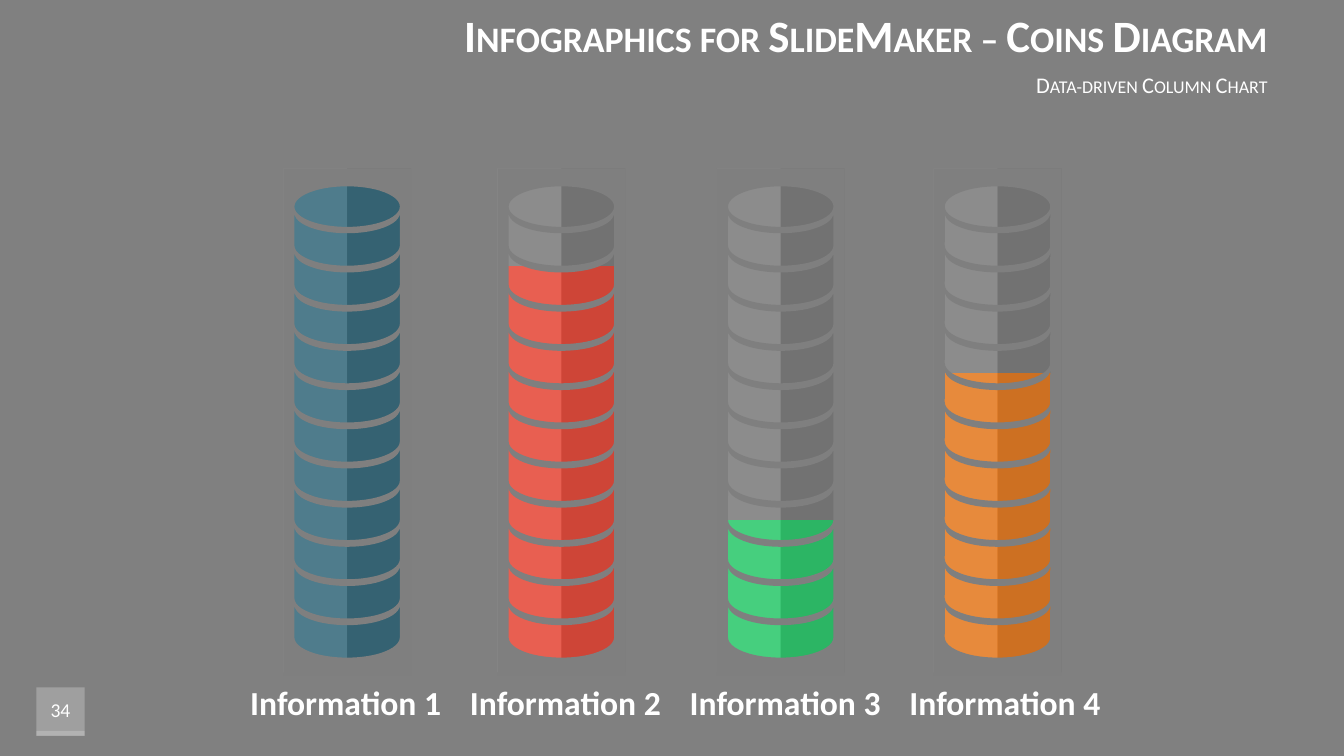
from collections import namedtuple
from dataclasses import dataclass

from lxml.etree import SubElement
from pptx import Presentation
from pptx.chart.data import CategoryChartData
from pptx.dml.color import RGBColor
from pptx.enum.chart import XL_CHART_TYPE as ChartType
from pptx.enum.shapes import MSO_SHAPE as Preset
from pptx.enum.text import MSO_ANCHOR as Anchor, MSO_AUTO_SIZE as AutoSize, PP_ALIGN as Align
from pptx.oxml import parse_xml
from pptx.oxml.ns import nsdecls, qn
from pptx.util import Inches, Pt

SLIDE_WIDTH, SLIDE_HEIGHT = Inches(13.33), Inches(7.5)
Box = namedtuple("Box", "left top width height")


@dataclass(frozen=True)
class Theme:
    """Colours, font and type sizes of the slide."""
    font: str = "Calibri"
    background: str = "808080"
    mask: str = "7F7F7F"
    light: str = "FFFFFF"
    dark: str = "000000"
    title: int = 32
    subtitle: int = 16
    label: int = 24
    page: int = 14
    axis: int = 10


THEME = Theme()
Column = namedtuple("Column", "label value color tower_left")
COLUMNS = [
    Column("Information 1", 100, "3C6E7F", 21.08),
    Column("Information 2", 82, "E64D3E", 37.02),
    Column("Information 3", 30, "31CA70", 53.34),
    Column("Information 4", 60, "E57D26", 69.47),
]
HEADING = Box(16.95, 0, 78.1, 13.2)
CHART = Box(16.65, 22.27, 66.69, 67.2)
LABELS = Box(17.55, 89.47, 65.4, 6.67)
BADGE = Box(2.7, 90.93, 3.6, 6.4)
TOWER_TOP, TOWER_WIDTH, TOWER_HEIGHT = 22.27, 9.5, 67.07

RING_COUNT = 11
COIN_RADIUS, COIN_DEPTH = 41.3, 4
LID_CENTRE = 7.55
FIRST_RING, RING_PITCH, RING_SIDE = 8.8, 7.73, 6.4
HALF_TURN = 180 * 60000


def inner(box, left, top, width, height):
    """Return the part of a box given in percent of that box."""
    return Box(box.left + box.width * left / 100, box.top + box.height * top / 100,
               box.width * width / 100, box.height * height / 100)


def to_emu(box):
    """Turn a box in percent of the slide into lengths for a shape."""
    return (int(SLIDE_WIDTH * box.left / 100), int(SLIDE_HEIGHT * box.top / 100),
            int(SLIDE_WIDTH * box.width / 100), int(SLIDE_HEIGHT * box.height / 100))


def paint(shape, color, alpha=None):
    """Give a shape a plain fill, optionally see-through, with no line or shadow."""
    shape.shadow.inherit = False
    shape.fill.solid()
    shape.fill.fore_color.rgb = RGBColor.from_string(color)
    shape.line.fill.background()
    if alpha is not None:
        for swatch in shape.element.spPr.iter(qn("a:srgbClr")):
            SubElement(swatch, qn("a:alpha")).set("val", str(alpha * 1000))


def add_panel(shapes, box, color, alpha):
    """Add a see-through rectangle."""
    paint(shapes.add_shape(Preset.RECTANGLE, *to_emu(box)), color, alpha)


def add_text(slide, box, text, *, size, align=Align.CENTER, bold=False,
             small_caps=False, wrap=True, space_before=0):
    """Add one line of text, centred vertically in its box."""
    textbox = slide.shapes.add_textbox(*to_emu(box))
    frame = textbox.text_frame
    frame.word_wrap = wrap
    frame.auto_size = AutoSize.NONE if wrap else AutoSize.SHAPE_TO_FIT_TEXT
    frame.vertical_anchor = Anchor.MIDDLE
    paragraph = frame.paragraphs[0]
    paragraph.alignment = align
    paragraph.space_before = Pt(space_before)
    run = paragraph.add_run()
    run.text = text
    run.font.name = THEME.font
    run.font.size = Pt(size)
    run.font.bold = bold
    run.font.color.rgb = RGBColor.from_string(THEME.light)
    if small_caps:
        run.font._element.set("cap", "small")


def add_heading(slide, box):
    """Place the title above the subtitle, both set to the right."""
    add_text(slide, inner(box, 0, 0, 100, 68.7), "Infographics for SlideMaker – Coins Diagram",
             size=THEME.title, align=Align.RIGHT, bold=True, small_caps=True)
    add_text(slide, inner(box, 0, 68.7, 100, 31.3), "Data-driven Column Chart",
             size=THEME.subtitle, align=Align.RIGHT, small_caps=True, space_before=3)


def add_page_badge(slide, box):
    """Place the page number on its tinted square."""
    add_panel(slide.shapes, box, THEME.light, 25)
    add_panel(slide.shapes, inner(box, 0, 90, 100, 10), THEME.light, 20)
    add_text(slide, inner(box, -15, 0, 130, 90), "34", size=THEME.page)


def add_column_chart(slide, box):
    """Place the columns that show through the coin towers."""
    data = CategoryChartData()
    data.categories = [str(number) for number in range(1, len(COLUMNS) + 1)]
    data.add_series("Series 1", [column.value for column in COLUMNS])
    chart = slide.shapes.add_chart(ChartType.COLUMN_CLUSTERED, *to_emu(box), data).chart
    chart.has_legend = chart.has_title = False
    chart.font.name = THEME.font
    chart.font.size = Pt(THEME.axis)
    chart.font.color.rgb = RGBColor.from_string(THEME.dark)
    chart.value_axis.minimum_scale, chart.value_axis.maximum_scale = 0, 100
    chart.value_axis.has_major_gridlines = False
    chart.value_axis.visible = chart.category_axis.visible = False
    plot = chart.plots[0]
    plot.vary_by_categories = False
    plot.gap_width, plot.overlap = 80, -27
    for index, column in enumerate(COLUMNS):
        fill = plot.series[0].points[index].format.fill
        fill.solid()
        fill.fore_color.rgb = RGBColor.from_string(column.color)
    area = chart._chartSpace.find(".//" + qn("c:plotArea"))
    for layout in area.findall(qn("c:layout")):
        area.remove(layout)
    area.insert(0, parse_xml(
        f'<c:layout {nsdecls("c")}><c:manualLayout><c:layoutTarget val="inner"/>'
        '<c:xMode val="edge"/><c:yMode val="edge"/><c:x val="0.02"/><c:y val="0.02"/>'
        '<c:w val="0.96"/><c:h val="0.96"/></c:manualLayout></c:layout>'))


def cut_opening(outline, width, height, top, side, upper_sweep):
    """Cut one coin out of a mask: lower rim, right side, then upper rim."""
    radius, depth = int(width * COIN_RADIUS / 100), int(height * COIN_DEPTH / 100)

    def go(command, x, y):
        point = SubElement(SubElement(outline, qn(command)), qn("a:pt"))
        point.set("x", str(int(x)))
        point.set("y", str(int(height * y / 100)))

    def rim(start, sweep):
        arc = SubElement(outline, qn("a:arcTo"))
        for name, value in (("wR", radius), ("hR", depth), ("stAng", start), ("swAng", sweep)):
            arc.set(name, str(value))

    go("a:moveTo", width / 2 - radius, top + side)
    rim(HALF_TURN, -HALF_TURN)
    go("a:lnTo", width / 2 + radius, top)
    rim(0, upper_sweep)
    SubElement(outline, qn("a:close"))


def add_tower(slide, box):
    """Place the light half, the dark half and the mask with coin openings."""
    shapes = slide.shapes.add_group_shape().shapes
    add_panel(shapes, inner(box, 0, 0, 50, 99.4), THEME.light, 10)
    add_panel(shapes, inner(box, 50, 0, 50, 99.4), THEME.dark, 10)
    left, top, width, height = to_emu(box)
    right, bottom = left + width, top + height
    builder = shapes.build_freeform(left, top)
    builder.add_line_segments([(right, top), (right, bottom), (left, bottom)], close=True)
    mask = builder.convert_to_shape()
    paint(mask, THEME.mask)
    outline = mask.element.find(".//" + qn("a:path"))
    cut_opening(outline, width, height, LID_CENTRE, 0, -HALF_TURN)
    for ring in range(RING_COUNT):
        cut_opening(outline, width, height, FIRST_RING + RING_PITCH * ring, RING_SIDE, HALF_TURN)


def add_labels(slide, box):
    """Place one label in each equal part of the row."""
    share = 100 / len(COLUMNS)
    for index, column in enumerate(COLUMNS):
        add_text(slide, inner(box, index * share, 0, share, 100), column.label,
                 size=THEME.label, bold=True, wrap=False)


def main():
    """Build the slide and save it."""
    deck = Presentation()
    deck.slide_width, deck.slide_height = SLIDE_WIDTH, SLIDE_HEIGHT
    slide = deck.slides.add_slide(deck.slide_layouts[6])
    slide.background.fill.solid()
    slide.background.fill.fore_color.rgb = RGBColor.from_string(THEME.background)
    add_column_chart(slide, CHART)
    add_heading(slide, HEADING)
    add_page_badge(slide, BADGE)
    add_labels(slide, LABELS)
    for column in COLUMNS:
        add_tower(slide, Box(column.tower_left, TOWER_TOP, TOWER_WIDTH, TOWER_HEIGHT))
    deck.save("out.pptx")


if __name__ == "__main__":
    main()
